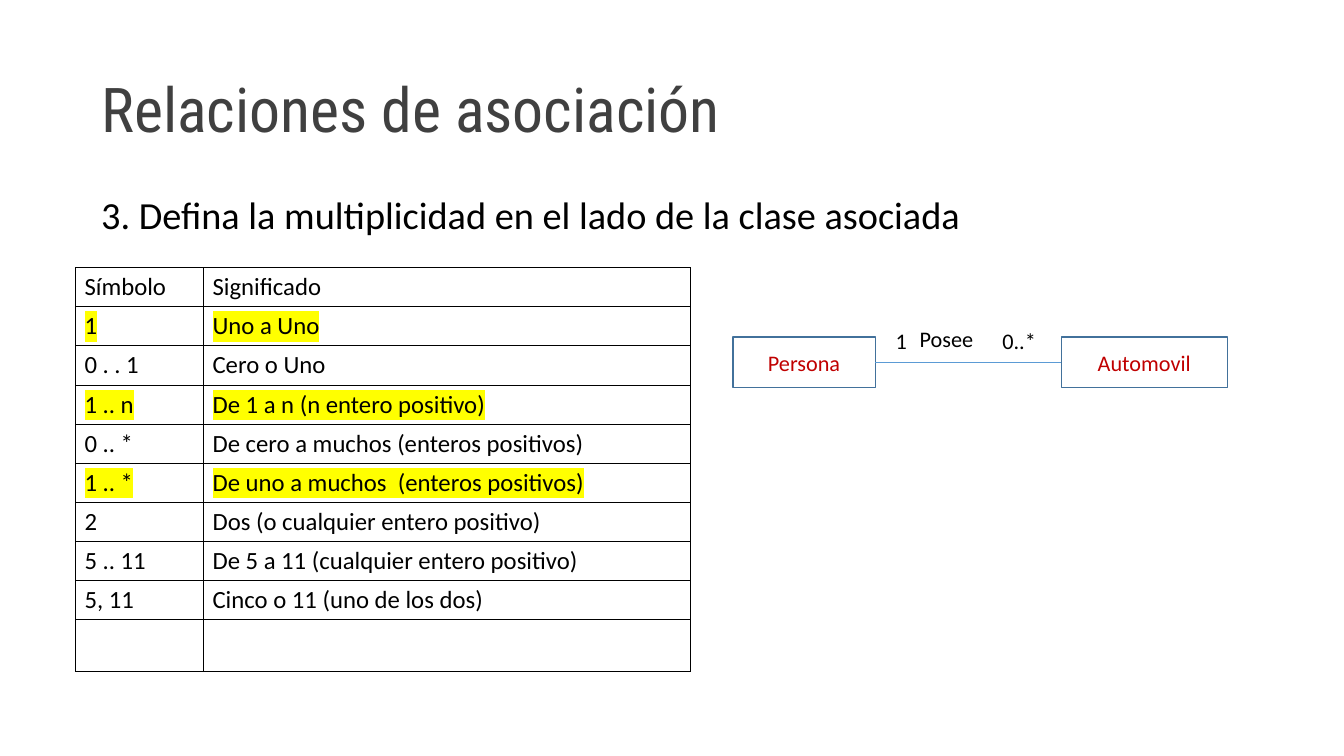
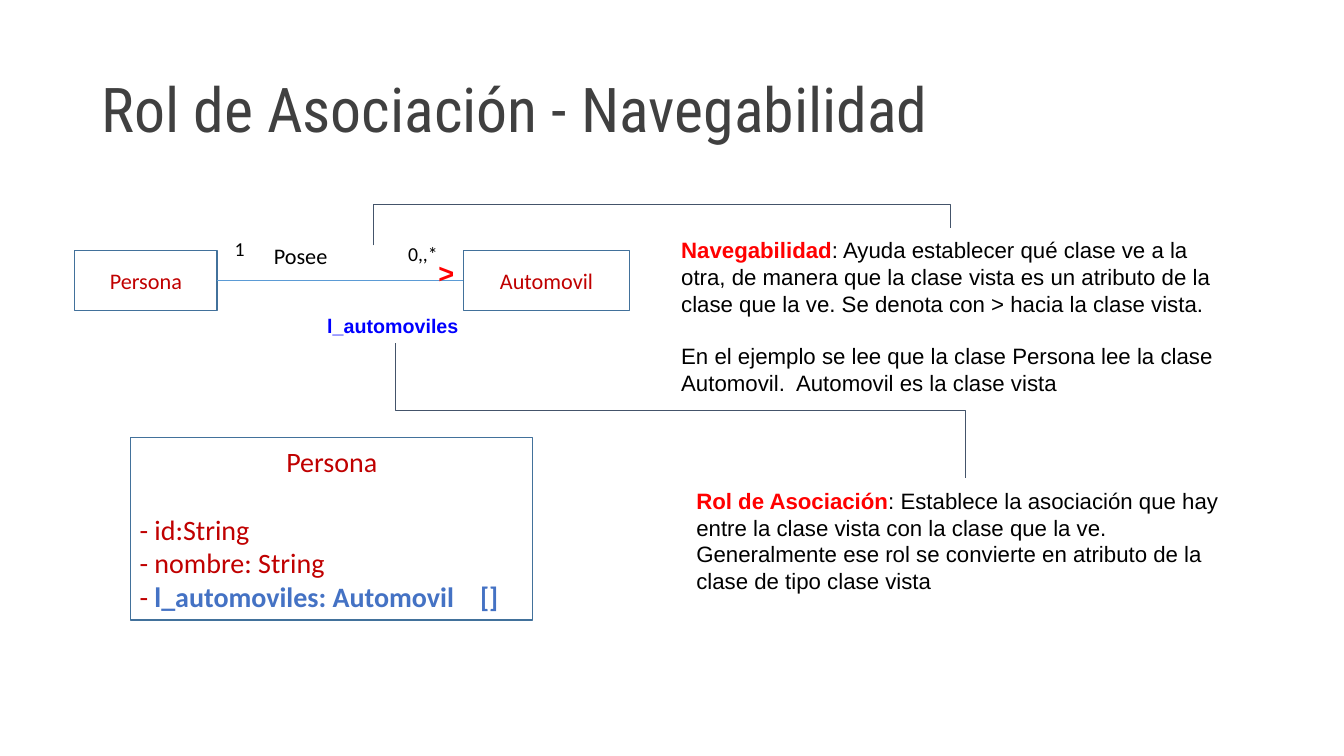
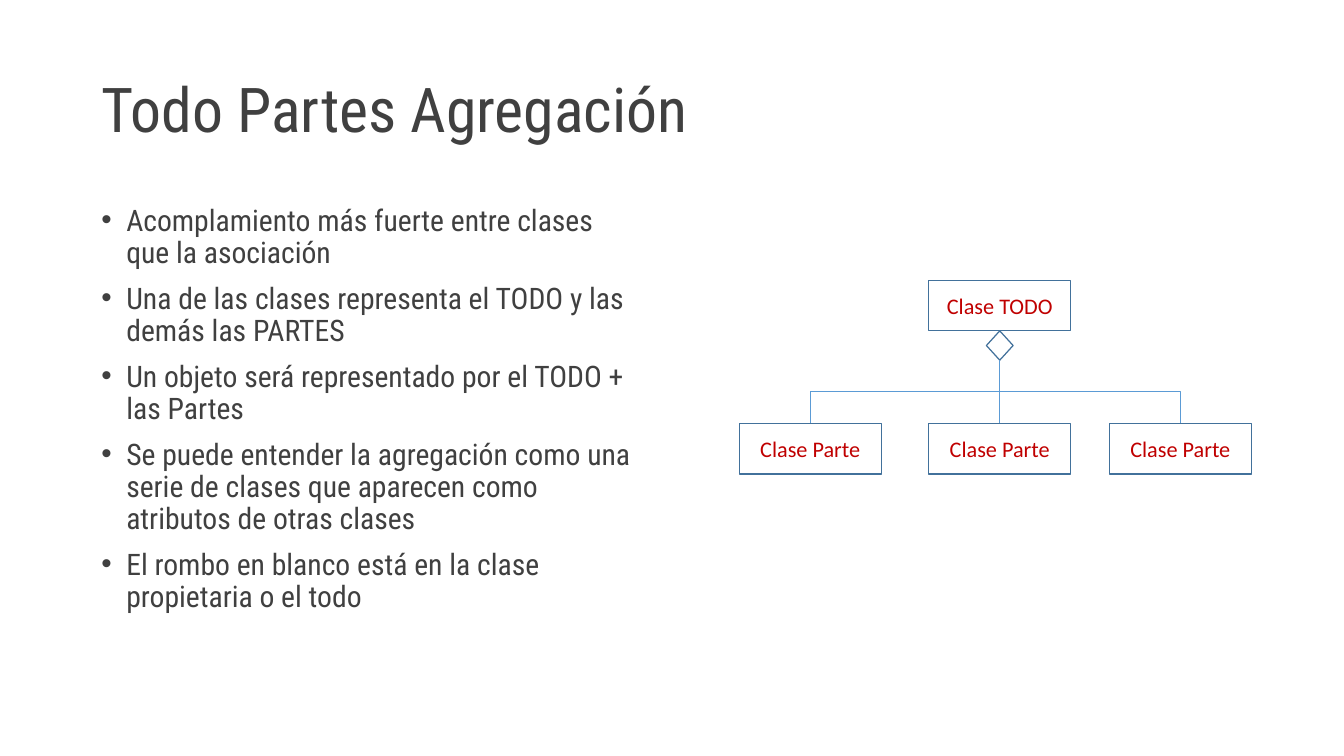
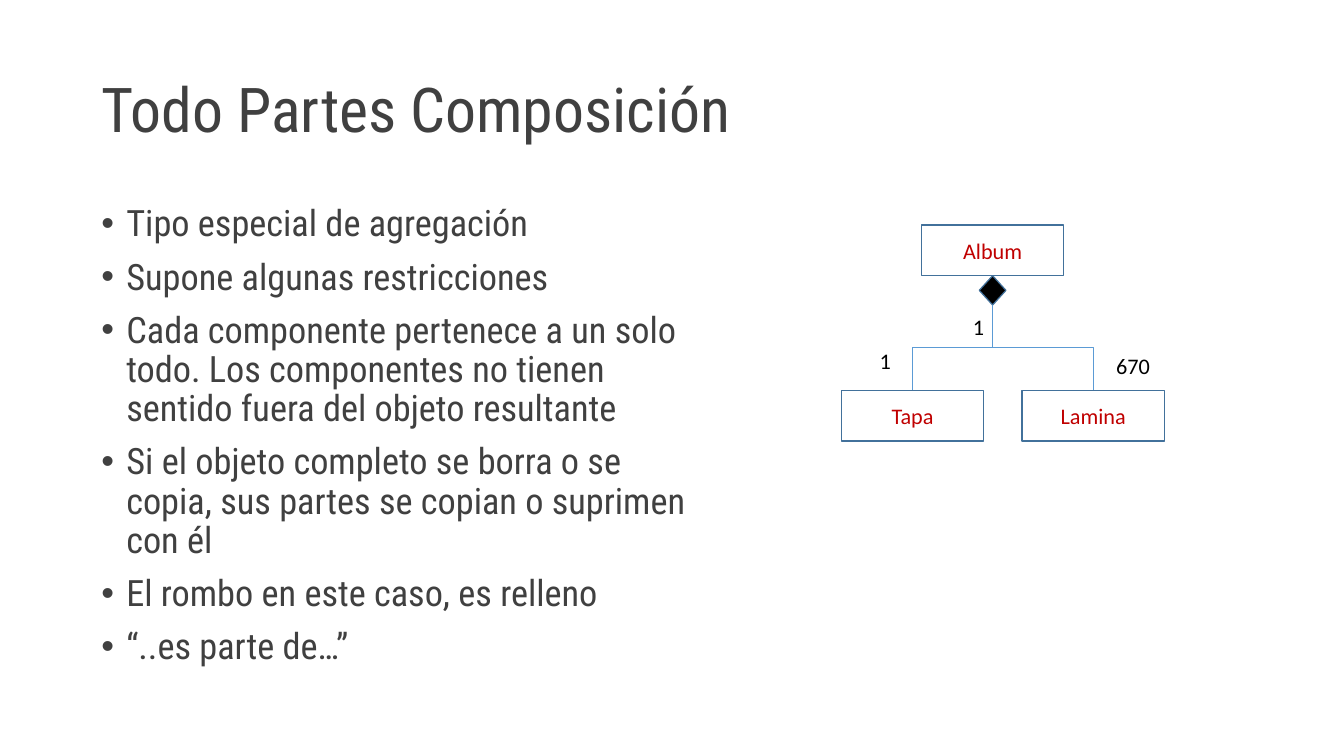
from lxml.etree import SubElement
from pptx import Presentation
from pptx.dml.color import RGBColor
from pptx.enum.shapes import MSO_CONNECTOR, MSO_SHAPE
from pptx.enum.text import MSO_ANCHOR, MSO_AUTO_SIZE, PP_ALIGN
from pptx.oxml import parse_xml
from pptx.oxml.ns import nsdecls, qn
from pptx.util import Emu, Pt

PX = 9144
TITLE_ONLY, TITLE_AND_BODY = 5, 1
TOP, LEFT, BOTTOM, RIGHT = range(4)
CLASS_WIDTH, CLASS_HEIGHT = 160, 57
DIAMOND_WIDTH, DIAMOND_HEIGHT = 30, 33

COLORS = {
    "white": "FFFFFF", "black": "000000", "heading": "404040", "class": "C00000",
    "outline": "42719B", "link": "5B9BD5", "pointer": "44546A", "red": "FF0000",
    "role": "0000FF", "attribute": "4472C4", "marker": "FFFF00",
}
TITLE = {"size": Pt(50), "name": "Roboto Condensed", "color": "heading"}
LABEL = {"size": Pt(18), "name": "Calibri", "color": "black"}
CLASS = {**LABEL, "color": "class"}
NOTE = {"size": Pt(18), "name": "Arial", "color": "black"}
TERM = {"color": "red", "bold": True}
CENTERED = {"alignment": PP_ALIGN.CENTER}

MULTIPLICITIES = [
    ("Símbolo", "Significado"),
    ("1", "Uno a Uno"),
    ("0 . . 1", "Cero o Uno"),
    ("1 .. n", "De 1 a n (n entero positivo)"),
    ("0 .. *", "De cero a muchos (enteros positivos)"),
    ("1 .. *", "De uno a muchos  (enteros positivos)"),
    ("2", "Dos (o cualquier entero positivo)"),
    ("5 .. 11", "De 5 a 11 (cualquier entero positivo)"),
    ("5, 11", "Cinco o 11 (uno de los dos)"),
    ("", ""),
]
MARKED_ROWS = (1, 3, 5)

AGGREGATION = [
    "Acomplamiento más fuerte entre clases que la asociación",
    "Una de las clases representa el TODO y las demás las PARTES",
    "Un objeto será representado por el TODO + las Partes",
    "Se puede entender la agregación como una serie de clases que aparecen "
    "como atributos de otras clases",
    "El rombo en blanco está en la clase propietaria o el todo",
]
COMPOSITION = [
    "Tipo especial de agregación",
    "Supone algunas restricciones",
    "Cada componente pertenece a un solo todo. Los componentes no tienen "
    "sentido fuera del objeto resultante",
    "Si el objeto completo se borra o se copia, sus partes se copian o "
    "suprimen con él",
    "El rombo en este caso, es relleno",
    "“..es parte de…”",
]


def emu(*lengths):
    """Turn px lengths into EMU."""
    return [Emu(round(length * PX)) for length in lengths]


def rgb(color):
    """Look up a named colour."""
    return RGBColor.from_string(COLORS[color])


def set_values(target, values):
    """Set each attribute of target from a dict."""
    for name, value in values.items():
        setattr(target, name, value)


def write_run(paragraph, text, style):
    """Add one formatted run to a paragraph."""
    run = paragraph.add_run()
    run.text = text
    values = dict(style)
    run.font.color.rgb = rgb(values.pop("color"))
    marker = values.pop("marker", None)
    set_values(run.font, values)
    if marker:
        highlight = parse_xml(
            f'<a:highlight {nsdecls("a")}><a:srgbClr val="{COLORS[marker]}"/></a:highlight>')
        run.font._element.find(qn("a:solidFill")).addnext(highlight)


def write_text(frame, paragraphs, style):
    """Fill a frame with (runs, paragraph format) pairs."""
    for index, (runs, layout) in enumerate(paragraphs):
        paragraph = frame.add_paragraph() if index else frame.paragraphs[0]
        set_values(paragraph, layout)
        for text, changes in runs:
            write_run(paragraph, text, {**style, **changes})


def add_text(slide, box, paragraphs, style, margin=5):
    """Add a wrapped text box; margin is its top and bottom inset."""
    frame = slide.shapes.add_textbox(*emu(*box)).text_frame
    inset, = emu(margin)
    set_values(frame, {"word_wrap": True, "margin_top": inset, "margin_bottom": inset})
    write_text(frame, paragraphs, style)


def add_labels(slide, origin, labels):
    """Place short labels at offsets from an origin."""
    left, top = origin
    for text, across, down, width, size in labels:
        add_text(slide, (left + across, top + down, width, 40),
                 [([(text, {})], {})], {**LABEL, "size": Pt(size)})


def add_outlined(slide, kind, box, fill):
    """Add a filled shape with the diagram outline."""
    shape = slide.shapes.add_shape(kind, *emu(*box))
    shape.shadow.inherit = False
    shape.fill.solid()
    shape.fill.fore_color.rgb = rgb(fill)
    shape.line.color.rgb = rgb("outline")
    shape.line.width = Pt(1)
    return shape


def add_class(slide, box, paragraphs, style=CLASS):
    """Add a class rectangle with its text."""
    shape = add_outlined(slide, MSO_SHAPE.RECTANGLE, box, "white")
    set_values(shape.text_frame, {"word_wrap": True, "vertical_anchor": MSO_ANCHOR.MIDDLE})
    write_text(shape.text_frame, paragraphs, style)
    return shape


def add_named_class(slide, box, name):
    """Add a class rectangle that shows only its name."""
    return add_class(slide, box, [([(name, {})], CENTERED)])


def add_line(slide, kind, ends, color):
    """Add a thin connector without shadow."""
    line = slide.shapes.add_connector(kind, *emu(*ends))
    line.line.color.rgb = rgb(color)
    line.line.width = Pt(0.75)
    SubElement(line._element.spPr, qn("a:effectLst"))
    return line


def add_joined_line(slide, first, first_side, second, second_side):
    """Join two shapes with a straight line."""
    line = add_line(slide, MSO_CONNECTOR.STRAIGHT, (0, 0, 0, 0), "link")
    line.begin_connect(first, first_side)
    line.end_connect(second, second_side)


def add_elbow(slide, start, end, color, bend=50):
    """Add an elbow that leaves vertically and turns at bend percent."""
    across, down = end[0] - start[0], end[1] - start[1]
    middle_x, middle_y = (start[0] + end[0]) / 2, (start[1] + end[1]) / 2
    half_width, half_height = abs(down) / 2, abs(across) / 2
    line = add_line(slide, MSO_CONNECTOR.ELBOW,
                    (middle_x - half_width, middle_y - half_height,
                     middle_x + half_width, middle_y + half_height), color)
    properties = line._element.spPr
    transform = properties.find(qn("a:xfrm"))
    transform.set("rot", str((270 if across > 0 else 90) * 60000))
    if (across > 0) == (down > 0):
        transform.set("flipH", "1")
    geometry = properties.find(qn("a:prstGeom"))
    values = geometry.find(qn("a:avLst"))
    if values is None:
        values = SubElement(geometry, qn("a:avLst"))
    SubElement(values, qn("a:gd"), name="adj1", fmla=f"val {bend * 1000}")


def add_titled_slide(presentation, layout, title):
    """Add a slide with the shared title style."""
    slide = presentation.slides.add_slide(presentation.slide_layouts[layout])
    shape = slide.shapes.title
    set_values(shape, dict(zip(("left", "top", "width", "height"), emu(104, 45, 1303, 164))))
    set_values(shape.text_frame, {"auto_size": MSO_AUTO_SIZE.NONE, "word_wrap": True,
                                  "vertical_anchor": MSO_ANCHOR.MIDDLE})
    write_text(shape.text_frame,
               [([(title, {})], {"alignment": PP_ALIGN.LEFT, "line_spacing": 0.9})], TITLE)
    return slide


def fill_body(slide, box, items, size):
    """Write a bulleted list in the body placeholder."""
    body = slide.placeholders[1]
    set_values(body, dict(zip(("left", "top", "width", "height"), emu(*box))))
    frame = body.text_frame
    set_values(frame, {"auto_size": MSO_AUTO_SIZE.NONE, "word_wrap": True})
    write_text(frame,
               [([(item, {})], {"line_spacing": 0.9, "space_before": Pt(11.3 if index else 0)})
                for index, item in enumerate(items)],
               {**TITLE, "size": Pt(size)})
    indent, = emu(28)
    for paragraph in frame.paragraphs:
        properties = paragraph._p.get_or_add_pPr()
        properties.set("marL", str(indent))
        properties.set("indent", str(-indent))
        SubElement(properties, qn("a:buFont"), typeface="Arial")
        SubElement(properties, qn("a:buChar"), char="•")


def add_borders(cell):
    """Draw the four black borders of a cell."""
    properties = cell._tc.get_or_add_tcPr()
    for index, side in enumerate("LRTB"):
        properties.insert(index, parse_xml(
            f'<a:ln{side} {nsdecls("a")} w="12700"><a:solidFill>'
            f'<a:srgbClr val="{COLORS["black"]}"/></a:solidFill></a:ln{side}>'))


def add_multiplicity_table(slide, box):
    """Add the table of multiplicity symbols."""
    left, top, width, height = box
    symbol_width, row_height = 144, 44
    last_height = height - row_height * (len(MULTIPLICITIES) - 1)
    table = slide.shapes.add_table(len(MULTIPLICITIES), 2, *emu(*box)).table
    set_values(table, {"first_row": False, "horz_banding": False})
    for column, size in zip(table.columns, emu(symbol_width, width - symbol_width)):
        column.width = size
    for index, texts in enumerate(MULTIPLICITIES):
        is_last = index == len(MULTIPLICITIES) - 1
        table.rows[index].height, = emu(last_height if is_last else row_height)
        style = {**LABEL, "size": Pt(20)}
        if index in MARKED_ROWS:
            style["marker"] = "marker"
        for cell, text in zip(table.rows[index].cells, texts):
            cell.fill.solid()
            cell.fill.fore_color.rgb = rgb("white")
            add_borders(cell)
            if text:
                write_text(cell.text_frame, [([(text, {})], {})], style)


def add_association(slide, box, labels):
    """Add the Persona and Automovil classes joined by a labelled line."""
    left, top, width, height = box
    target_width = 187
    person = add_named_class(slide, (left, top, CLASS_WIDTH, height), "Persona")
    car = add_named_class(
        slide, (left + width - target_width, top, target_width, height), "Automovil")
    add_joined_line(slide, person, RIGHT, car, LEFT)
    add_labels(slide, (left, top), labels)


def add_hierarchy(slide, box, whole, parts, diamond_fill, labels=()):
    """Add a whole class above its parts, given as (name, offset) pairs."""
    left, top, width, height = box
    name, offset = whole
    add_named_class(slide, (left + offset, top, CLASS_WIDTH, CLASS_HEIGHT), name)
    center = left + offset + CLASS_WIDTH // 2
    diamond_top = top + CLASS_HEIGHT
    diamond = add_outlined(
        slide, MSO_SHAPE.FLOWCHART_DECISION,
        (center - DIAMOND_WIDTH // 2, diamond_top, DIAMOND_WIDTH, DIAMOND_HEIGHT), diamond_fill)
    part_top = top + height - CLASS_HEIGHT
    for name, offset in parts:
        part = add_named_class(slide, (left + offset, part_top, CLASS_WIDTH, CLASS_HEIGHT), name)
        part_center = left + offset + CLASS_WIDTH // 2
        if part_center == center:
            add_joined_line(slide, diamond, BOTTOM, part, TOP)
        else:
            add_elbow(slide, (center, diamond_top + DIAMOND_HEIGHT),
                      (part_center, part_top), "link")
    add_labels(slide, (left, top), labels)


def add_person_detail(slide, box):
    """Add the Persona class with its attributes."""
    style = {**CLASS, "size": Pt(22.7)}
    left_aligned = {"alignment": PP_ALIGN.LEFT}
    shape = add_class(slide, box, [
        ([("Persona", {})], CENTERED),
        ([("- id:String", {})], {**left_aligned, "space_before": Pt(27.7)}),
        ([("- nombre: String", {})], left_aligned),
        ([("- ", {}), ("l_automoviles: Automovil\t[]", {"color": "attribute", "bold": True})],
         left_aligned),
    ], style)
    properties = shape.text_frame.paragraphs[-1]._p.get_or_add_pPr()
    tabs = SubElement(properties, qn("a:tabLst"))
    SubElement(tabs, qn("a:tab"), pos=str(emu(383)[0]), algn="l")


def build_association_slide(presentation):
    """Build the slide on multiplicity."""
    slide = add_titled_slide(presentation, TITLE_ONLY, "Relaciones de asociación")
    add_text(slide, (104, 210, 1106, 62),
             [([("3. Defina la multiplicidad en el lado de la clase asociada", {})], {})],
             {**LABEL, "size": Pt(31)})
    add_multiplicity_table(slide, (85, 301, 691, 454))
    add_association(slide, (824, 379, 556, 57), [
        ("1", 173, -16, 33, 18), ("Posee", 200, -18, 90, 18), ("0..*", 293, -16, 69, 18)])


def build_navigability_slide(presentation):
    """Build the slide on roles and navigability."""
    slide = add_titled_slide(presentation, TITLE_ONLY, "Rol de Asociación - Navegabilidad")
    add_association(slide, (84, 282, 624, 67), [
        ("1", 170, -21, 31, 16), ("Posee", 214, -15, 100, 18), ("0,,*", 365, -15, 60, 16)])
    add_text(slide, (756, 256, 624, 184), [
        ([("Navegabilidad", TERM),
          (": Ayuda establecer qué clase ve a la otra, de manera que la clase vista es un "
           "atributo de la clase que la ve. Se denota con > hacia la clase vista.", {})], {}),
        ([("En el ejemplo se lee que la clase Persona lee la clase Automovil.  "
           "Automovil es la clase vista", {})], {"space_before": Pt(21)}),
    ], NOTE, margin=10)
    add_text(slide, (483, 278, 46, 53), [([(">", TERM)], {})],
             {**NOTE, "size": Pt(22)}, margin=10)
    add_text(slide, (358, 343, 171, 43), [([("l_automoviles", {})], {})],
             {**NOTE, "size": Pt(15.9), "color": "role", "bold": True}, margin=10)
    add_text(slide, (773, 538, 624, 184), [
        ([("Rol de Asociación", TERM),
          (": Establece la asociación que hay entre la clase vista con la clase que la ve. "
           "Generalmente ese rol se convierte en atributo de la clase de tipo clase vista",
           {})], {}),
    ], NOTE, margin=10)
    add_elbow(slide, (420, 276), (1068, 256), "pointer", bend=230)
    add_elbow(slide, (444, 386), (1085, 538), "pointer")
    add_person_detail(slide, (147, 492, 452, 205))


def build_aggregation_slide(presentation):
    """Build the slide on aggregation."""
    slide = add_titled_slide(presentation, TITLE_AND_BODY, "Todo Partes Agregación")
    fill_body(slide, (104, 226, 615, 539), AGGREGATION, 24)
    parts = [("Clase Parte", offset) for offset in (0, 213, 416)]
    add_hierarchy(slide, (831, 315, 576, 218), ("Clase TODO", 213), parts, "white")


def build_composition_slide(presentation):
    """Build the slide on composition."""
    slide = add_titled_slide(presentation, TITLE_AND_BODY, "Todo Partes Composición")
    fill_body(slide, (104, 226, 691, 539), COMPOSITION, 29.4)
    add_hierarchy(slide, (946, 253, 363, 243), ("Album", 90), [("Tapa", 0), ("Lamina", 203)],
                  "black", [("1", 138, 94, 33, 18), ("1", 33, 133, 33, 18),
                            ("670", 299, 138, 70, 18)])


def main():
    """Build and save the presentation."""
    presentation = Presentation()
    presentation.slide_width, presentation.slide_height = emu(1511, 850)
    for build in (build_association_slide, build_navigability_slide,
                  build_aggregation_slide, build_composition_slide):
        build(presentation)
    presentation.save("out.pptx")


if __name__ == "__main__":
    main()
